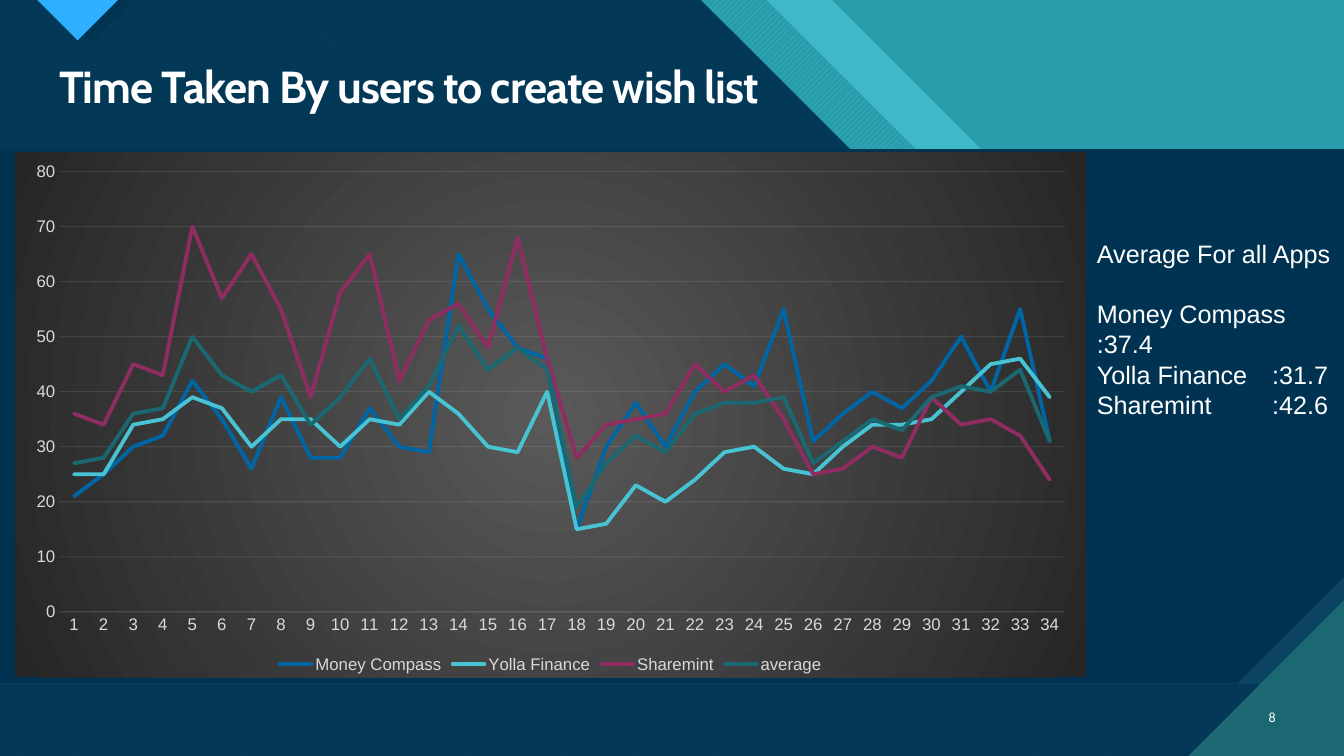
from dataclasses import dataclass
from lxml.etree import SubElement as Sub
from pptx import Presentation
from pptx.chart.data import CategoryChartData as Data
from pptx.dml.color import RGBColor as Rgb
from pptx.enum.chart import XL_CHART_TYPE as Kind, XL_LEGEND_POSITION as Spot, XL_TICK_MARK as Tick
from pptx.enum.dml import MSO_PATTERN as Hatch
from pptx.enum.shapes import MSO_SHAPE as Form
from pptx.enum.text import MSO_ANCHOR as Anchor, PP_ALIGN as Align
from pptx.oxml import parse_xml as read
from pptx.oxml.ns import nsdecls, qn
from pptx.util import Inches, Pt


@dataclass(frozen=True)
class Theme:
    navy: str = "003352"
    ocean: str = "0C4360"
    teal: str = "299CAB"
    aqua: str = "47C3D3"
    pine: str = "1B6872"
    sky: str = "2FAFFF"
    white: str = "FFFFFF"
    label: str = "D9D9D9"
    grid: str = "F2F2F2"
    core: str = "595959"
    edge: str = "262626"
    lines: tuple = ("0065A4", "47C3D3", "8F2D63", "1A6871")
    head: str = "Cabin"
    body: str = "Arial"
    small: str = "Calibri"
    big: int = 32
    text: int = 18
    axis: int = 12
    page: int = 10


T = Theme()
WIDE, HIGH = Inches(13.33), Inches(7.5)

TIMES = {
    "Money Compass": (21, 25, 30, 32, 42, 35, 26, 39, 28, 28, 37, 30, 29, 65, 55, 48, 46,
                      15, 30, 38, 30, 40, 45, 41, 55, 31, 36, 40, 37, 42, 50, 40, 55, 31),
    "Yolla Finance": (25, 25, 34, 35, 39, 37, 30, 35, 35, 30, 35, 34, 40, 36, 30, 29, 40,
                      15, 16, 23, 20, 24, 29, 30, 26, 25, 30, 34, 34, 35, 40, 45, 46, 39),
    "Sharemint": (36, 34, 45, 43, 70, 57, 65, 55, 39, 58, 65, 42, 53, 56, 48, 68, 46,
                  28, 34, 35, 36, 45, 40, 43, 35, 25, 26, 30, 28, 39, 34, 35, 32, 24),
}
MEANS = ("37.4", "31.7", "42.6")


def put(item, **vals):
    for key, val in vals.items():
        setattr(item, key, val)


def spot(x, y):
    return round(WIDE * x / 100), round(HIGH * y / 100)


def place(x, y, w, h):
    return *spot(x, y), *spot(w, h)


def fade(color, share):
    Sub(color, qn("a:alpha")).set("val", str(share * 1000))


def paint(shape, fore, back=None, hatch=None, share=100):
    fill = shape.fill
    if hatch:
        fill.patterned()
        put(fill, pattern=hatch)
        fill.back_color.rgb = Rgb.from_string(back)
    else:
        fill.solid()
    fill.fore_color.rgb = Rgb.from_string(fore)
    shape.line.fill.background()
    shape.shadow.inherit = False
    if share < 100:
        fade(next(shape._element.iter(qn("a:srgbClr"))), share)


def facet(slide, points, *look, **more):
    first, *rest = [spot(*point) for point in points]
    pen = slide.shapes.build_freeform(*first)
    pen.add_line_segments(rest, close=True)
    paint(pen.convert_to_shape(), *look, **more)


def panel(slide, form, box, *look):
    shape = slide.shapes.add_shape(form, *place(*box))
    paint(shape, *look)
    return shape


def sweep(start, top, bend, flat, low):
    return [(start, 0), (top, 0), (bend, 39.6), (flat, 39.6),
            (100, low), (100, 100), (start, 100)]


def scene(slide):
    ground = slide.background.fill
    ground.solid()
    ground.fore_color.rgb = Rgb.from_string(T.aqua)
    panel(slide, Form.RECTANGLE, (0, 0, 100, 100), T.teal)
    facet(slide, sweep(0, 61.89, 84.17, 92.57, 52.93), T.aqua, share=74)
    facet(slide, sweep(4.95, 57.01, 79.37, 88.82, 59.6), T.aqua, T.teal, Hatch.WIDE_UPWARD_DIAGONAL)
    dark = sweep(0, 52.14, 74.42, 83.87, 68.4)
    facet(slide, dark, T.aqua, T.pine, Hatch.WIDE_DOWNWARD_DIAGONAL)
    facet(slide, dark, T.navy, share=90)
    facet(slide, [(3.6, 0), (9.83, 0), (6.75, 5.47)], T.navy)
    facet(slide, [(2.78, 0), (8.78, 0), (5.78, 5.33)], T.sky, T.pine, Hatch.DARK_HORIZONTAL)
    band = 0, 19.73, 100, 70.67
    panel(slide, Form.RECTANGLE, band, T.ocean, T.pine, Hatch.DARK_VERTICAL)
    snip = panel(slide, Form.SNIP_1_RECTANGLE, band, T.navy)
    snip.adjustments[0] = 0.2
    snip._element.spPr.xfrm.set("flipV", "1")
    facet(slide, [(88.45, 100), (100, 100), (100, 79.47)], T.pine, T.aqua, Hatch.DARK_HORIZONTAL)


def words(slide, box, rows, face, size, bold=False, tight=0, tab=0, gap=0, frame=None, **style):
    area = slide.shapes.add_textbox(*place(*box)).text_frame
    put(area, word_wrap=True, **(frame or {}))
    for num, row in enumerate(rows):
        para = area.paragraphs[0] if num == 0 else area.add_paragraph()
        put(para, **style)
        if num == 1 and gap:
            para.space_before = Pt(gap)
        if tab:
            stops = Sub(para._p.get_or_add_pPr(), qn("a:tabLst"))
            stop = Sub(stops, qn("a:tab"))
            stop.set("pos", str(round(WIDE * tab / 100)))
            stop.set("algn", "l")
        run = para.add_run()
        run.text = row
        put(run.font, name=face, size=Pt(size), bold=bold)
        run.font.color.rgb = Rgb.from_string(T.white)
        if tight:
            run._r.get_or_add_rPr().set("spc", str(tight))


def type_set(font):
    put(font, name=T.body, size=Pt(T.axis))
    font.color.rgb = Rgb.from_string(T.label)


def rule(line, color, width):
    line.color.rgb = Rgb.from_string(color)
    line.width = Pt(width)


def glow(chart):
    chart._chartSpace.find(qn("c:chart")).addnext(read(
        f'<c:spPr {nsdecls("c", "a")}><a:gradFill><a:gsLst>'
        f'<a:gs pos="0"><a:srgbClr val="{T.core}"/></a:gs>'
        f'<a:gs pos="100000"><a:srgbClr val="{T.edge}"/></a:gs></a:gsLst>'
        '<a:path path="circle"><a:fillToRect l="50000" t="50000" r="50000" b="50000"/></a:path>'
        '</a:gradFill><a:ln><a:noFill/></a:ln></c:spPr>'))


def graph(slide, box):
    users = list(zip(*TIMES.values()))
    data = Data()
    data.categories = [str(num + 1) for num in range(len(users))]
    for name, vals in TIMES.items():
        data.add_series(name, vals)
    data.add_series("average", [round(sum(user) / len(user)) for user in users])
    chart = slide.shapes.add_chart(Kind.LINE, *place(*box), data).chart
    put(chart, has_title=False, has_legend=True)
    type_set(chart.font)
    put(chart.legend, position=Spot.BOTTOM, include_in_layout=False)
    type_set(chart.legend.font)
    for axis in (chart.category_axis, chart.value_axis):
        put(axis, major_tick_mark=Tick.NONE, minor_tick_mark=Tick.NONE)
        type_set(axis.tick_labels.font)
    put(chart.value_axis, minimum_scale=0, maximum_scale=80, major_unit=10,
        has_major_gridlines=True)
    chart.value_axis.format.line.fill.background()
    for line in (chart.category_axis.format.line, chart.value_axis.major_gridlines.format.line):
        rule(line, T.grid, 0.75)
    for color in chart._chartSpace.iter(qn("a:srgbClr")):
        if color.get("val") == T.grid:
            fade(color, 10)
    chart.plots[0].vary_by_categories = False
    for line, color in zip(chart.plots[0].series, T.lines):
        line.smooth = False
        rule(line.format.line, color, 2.75)
        line.format.line._ln.set("cap", "rnd")
    glow(chart)


def main():
    deck = Presentation()
    put(deck, slide_width=WIDE, slide_height=HIGH)
    slide = deck.slides.add_slide(deck.slide_layouts[6])
    scene(slide)
    words(slide, (3.68, 7.87, 91.97, 14.27), ["Time Taken By users to create wish list"],
          T.head, T.big, bold=True, tight=-70, line_spacing=0.9)
    words(slide, (92.35, 92.13, 3.3, 5.33), ["8"], T.small, T.page,
          frame={"vertical_anchor": Anchor.MIDDLE}, alignment=Align.RIGHT)
    graph(slide, (1.13, 20.13, 79.67, 69.47))
    rows = [f"{name}\t:{mean}" for name, mean in zip(TIMES, MEANS)]
    words(slide, (80.87, 30.93, 19.13, 21.6), ["Average For all Apps", *rows],
          T.body, T.text, tab=13.05, gap=21)
    deck.save("out.pptx")


if __name__ == "__main__":
    main()
